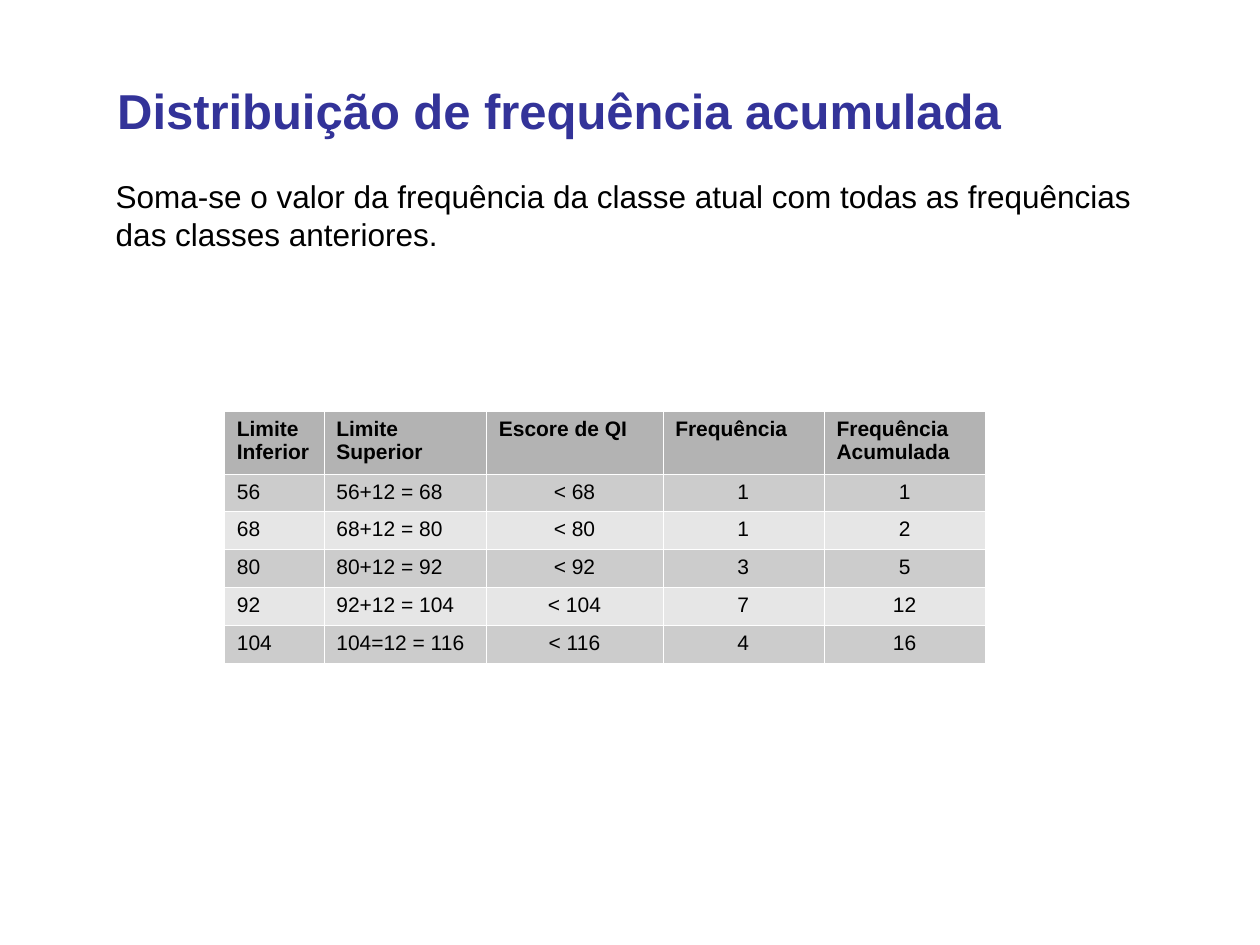
import pptx
import pptx.dml.color
import pptx.enum.text
import pptx.oxml
import pptx.oxml.ns
import pptx.util

Inches = pptx.util.Inches
Pt = pptx.util.Pt
RGBColor = pptx.dml.color.RGBColor
PP_ALIGN = pptx.enum.text.PP_ALIGN
MSO_ANCHOR = pptx.enum.text.MSO_ANCHOR
MSO_AUTO_SIZE = pptx.enum.text.MSO_AUTO_SIZE

NAVY = RGBColor(0x33, 0x33, 0x99)
BLACK = RGBColor(0x00, 0x00, 0x00)
WHITE = RGBColor(0xFF, 0xFF, 0xFF)
HEADER_GRAY = RGBColor(0xB3, 0xB3, 0xB3)
BAND_GRAYS = (RGBColor(0xCC, 0xCC, 0xCC), RGBColor(0xE6, 0xE6, 0xE6))

COLUMN_WIDTHS = (0.79, 1.29, 1.4, 1.28, 1.28)
HEADER_HEIGHT = 0.5
ROW_HEIGHT = 0.3
FIRST_CENTERED_COLUMN = 2
BORDER_WIDTH = Pt(0.06)

HEADERS = ("Limite Inferior", "Limite Superior", "Escore de QI",
           "Frequência", "Frequência\nAcumulada")
CLASSES = (
    ("56", "56+12 = 68", "< 68", "1", "1"),
    ("68", "68+12 = 80", "< 80", "1", "2"),
    ("80", "80+12 = 92", "< 92", "3", "5"),
    ("92", "92+12 = 104", "< 104", "7", "12"),
    ("104", "104=12 = 116", "< 116", "4", "16"),
)


def write_text(tf, text, size, color, bold=False, align=PP_ALIGN.LEFT):
    tf.text = text
    tf.word_wrap = True
    for p in tf.paragraphs:
        p.alignment = align
        p.font.name = "Arial"
        p.font.size = Pt(size)
        p.font.bold = bold
        p.font.color.rgb = color


def set_title(s, text):
    sp = s.shapes.title
    sp.left, sp.top = Inches(0.83), Inches(0.56)
    sp.width, sp.height = Inches(8.51), Inches(0.63)
    write_text(sp.text_frame, text, 28, NAVY, bold=True)
    sp.text_frame.auto_size = MSO_AUTO_SIZE.NONE
    sp.text_frame.vertical_anchor = MSO_ANCHOR.MIDDLE


def add_body(s, text):
    sp = s.shapes.add_textbox(Inches(0.82), Inches(1.36), Inches(8.28), Inches(0.84))
    write_text(sp.text_frame, text, 18, BLACK)


def set_borders(cell):
    tcPr = cell._tc.get_or_add_tcPr()
    for side in ("lnL", "lnR", "lnT", "lnB"):
        tcPr.append(pptx.oxml.parse_xml(
            f'<a:{side} {pptx.oxml.ns.nsdecls("a")} w="{BORDER_WIDTH}">'
            f'<a:solidFill><a:srgbClr val="{WHITE}"/></a:solidFill></a:{side}>'))


def format_cell(cell, text, fill, bold, align):
    write_text(cell.text_frame, text, 12, BLACK, bold, align)
    set_borders(cell)
    cell.fill.solid()
    cell.fill.fore_color.rgb = fill


def add_frequency_table(s):
    rows = (HEADERS,) + CLASSES
    height = HEADER_HEIGHT + ROW_HEIGHT * len(CLASSES)
    table = s.shapes.add_table(
        len(rows), len(HEADERS), Inches(1.78), Inches(3.26),
        Inches(sum(COLUMN_WIDTHS)), Inches(height)).table
    for column, width in zip(table.columns, COLUMN_WIDTHS):
        column.width = Inches(width)
    for i, texts in enumerate(rows):
        header = i == 0
        table.rows[i].height = Inches(HEADER_HEIGHT if header else ROW_HEIGHT)
        fill = HEADER_GRAY if header else BAND_GRAYS[(i - 1) % 2]
        for j, text in enumerate(texts):
            centered = not header and j >= FIRST_CENTERED_COLUMN
            align = PP_ALIGN.CENTER if centered else PP_ALIGN.LEFT
            format_cell(table.cell(i, j), text, fill, header, align)


def main():
    prs = pptx.Presentation()
    prs.slide_width, prs.slide_height = Inches(10), Inches(7.5)
    s = prs.slides.add_slide(prs.slide_layouts[5])
    set_title(s, "Distribuição de frequência acumulada")
    add_frequency_table(s)
    add_body(s, "Soma-se o valor da frequência da classe atual com todas as "
                "frequências das classes anteriores.")
    prs.save("out.pptx")


if __name__ == "__main__":
    main()
